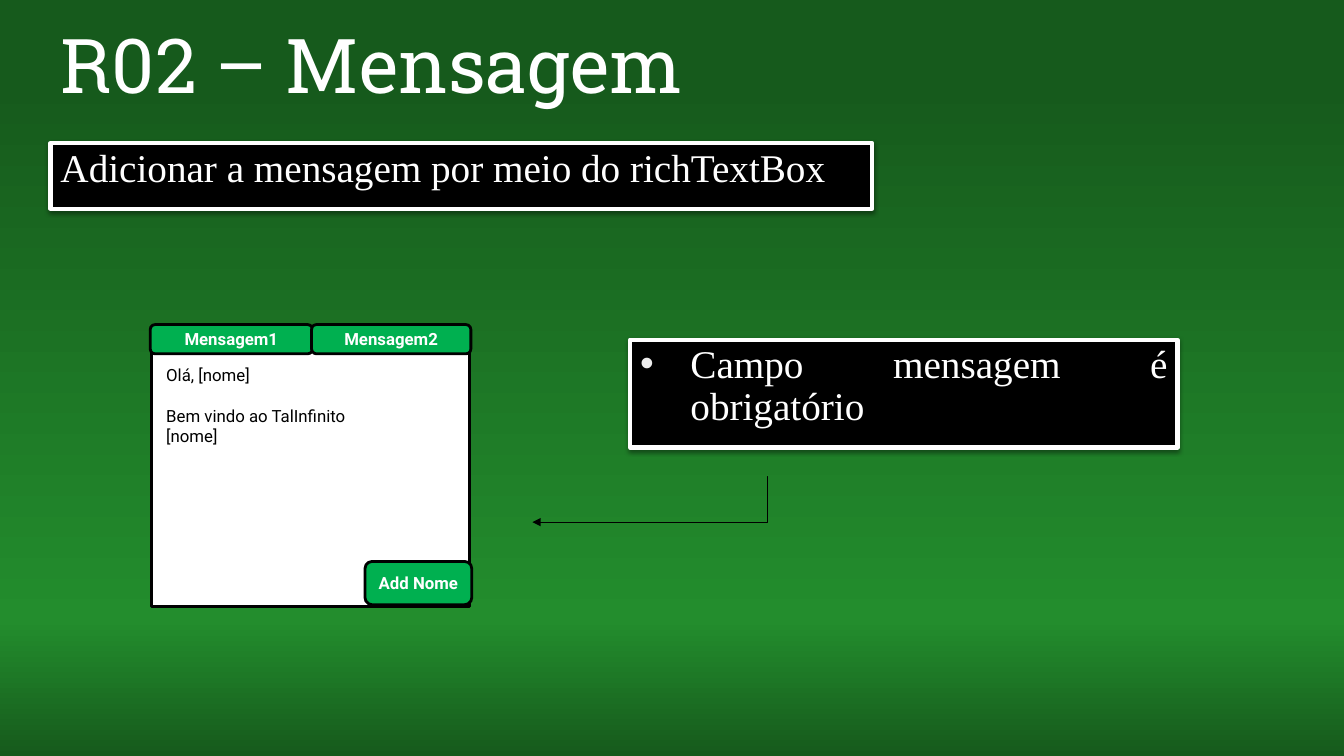
import pptx
import pptx.util
import pptx.dml.color
import pptx.enum.shapes
import pptx.enum.text
import pptx.oxml
import pptx.oxml.ns
from pptx.util import Inches

SHAPE = pptx.enum.shapes.MSO_SHAPE
ALIGN = pptx.enum.text.PP_ALIGN
ANCHOR = pptx.enum.text.MSO_ANCHOR
WHITE, BLACK, GREEN = "FFFFFF", "000000", "00B050"
DARK, LIGHT = "165A1C", "238D2D"


def color(code):
    return pptx.dml.color.RGBColor.from_string(code)


def node(tag, inner="", **attrs):
    """Make one drawing element from its tag, attributes and inner XML."""
    pairs = "".join(f' {key}="{val}"' for key, val in attrs.items())
    return pptx.oxml.parse_xml(
        f'<a:{tag} {pptx.oxml.ns.nsdecls("a")}{pairs}>{inner}</a:{tag}>')


class Deck:
    sans, slab, serif = "Roboto", "Roboto Slab", "Times New Roman"

    def __init__(self):
        self.file = pptx.Presentation()
        self.file.slide_width = Inches(13.33)
        self.file.slide_height = Inches(7.5)
        self.slide = self.file.slides.add_slide(self.file.slide_layouts[1])

    def back(self, stops):
        fill = self.slide.background.fill
        fill.gradient()
        fill.gradient_angle = 270
        items = self.slide.element.xpath(".//p:bg//a:gsLst")[0]
        for item in list(items):
            items.remove(item)
        for spot, code in stops:
            items.append(node("gs", f'<a:srgbClr val="{code}"/>', pos=spot * 1000))

    def place(self, shape, box):
        shape.left, shape.top, shape.width, shape.height = map(Inches, box)

    def paint(self, shape, fill, line, width):
        shape.fill.solid()
        shape.fill.fore_color.rgb = color(fill)
        shape.line.color.rgb = color(line)
        shape.line.width = pptx.util.Pt(width)
        shape.shadow.inherit = False

    def fill_text(self, shape, text, size, font, code=WHITE, bold=False,
                  align=ALIGN.LEFT, anchor=ANCHOR.TOP, space=1.0):
        frame = shape.text_frame
        frame.text = text
        frame.word_wrap = True
        frame.auto_size = pptx.enum.text.MSO_AUTO_SIZE.NONE
        frame.vertical_anchor = anchor
        for para in frame.paragraphs:
            para.alignment = align
            para.line_spacing = space
            para.space_before = pptx.util.Pt(0)
            for run in para.runs:
                run.font.size = pptx.util.Pt(size)
                run.font.name = font
                run.font.bold = bold
                run.font.color.rgb = color(code)
        return frame

    def title(self, box, text):
        shape = self.slide.shapes.title
        self.place(shape, box)
        self.fill_text(shape, text, 54, self.slab, anchor=ANCHOR.MIDDLE, space=0.9)

    def panel(self, shape, text, bullet=False):
        """Black panel with a white frame, a soft shadow and justified text."""
        self.paint(shape, BLACK, WHITE, 3)
        glow = node("outerShdw", f'<a:srgbClr val="{BLACK}"><a:alpha val="38000"/></a:srgbClr>',
                    blurRad=pptx.util.Pt(3.1), dist=pptx.util.Pt(1.6), dir=5400000, rotWithShape=0)
        shape.element.spPr.find(pptx.oxml.ns.qn("a:effectLst")).append(glow)
        frame = self.fill_text(shape, text, 28, self.serif, align=ALIGN.JUSTIFY, space=0.9)
        props = frame.paragraphs[0]._p.get_or_add_pPr()
        hang = Inches(0.5) if bullet else 0
        props.set("marL", str(hang))
        props.set("indent", str(-hang))
        if bullet:
            props.append(node("buClr", '<a:srgbClr val="EDEDED"/>'))
            props.append(node("buFont", typeface="Arial"))
            props.append(node("buChar", char="•"))
        else:
            props.append(node("buNone"))

    def body(self, box, text):
        shape = self.slide.placeholders[1]
        self.place(shape, box)
        self.panel(shape, text)

    def shape(self, kind, box):
        return self.slide.shapes.add_shape(kind, *map(Inches, box))

    def note(self, box, text):
        self.panel(self.shape(SHAPE.RECTANGLE, box), text, bullet=True)

    def window(self, box):
        self.paint(self.shape(SHAPE.RECTANGLE, box), WHITE, BLACK, 2)

    def button(self, box, text):
        shape = self.shape(SHAPE.ROUNDED_RECTANGLE, box)
        self.paint(shape, GREEN, BLACK, 2)
        self.fill_text(shape, text, 12, self.sans, bold=True,
                       align=ALIGN.CENTER, anchor=ANCHOR.MIDDLE)

    def label(self, box, text):
        shape = self.slide.shapes.add_textbox(*map(Inches, box))
        return self.fill_text(shape, text, 12, self.sans, BLACK)

    def arrow(self, *ends):
        link = self.slide.shapes.add_connector(
            pptx.enum.shapes.MSO_CONNECTOR.ELBOW, *map(Inches, ends))
        link.line.color.rgb = color(BLACK)
        link.line.width = pptx.util.Pt(0.75)
        props = link.element.spPr
        props.find(pptx.oxml.ns.qn("a:ln")).append(node("tailEnd", type="triangle"))
        props.append(node("effectLst"))
        # Turn at the start, so the line drops first
        bend = props.find(pptx.oxml.ns.qn("a:prstGeom")).get_or_add_avLst()
        bend.append(node("gd", name="adj1", fmla="val -300"))


def main():
    deck = Deck()
    deck.back([(0, DARK), (11, DARK), (82, LIGHT), (100, DARK)])

    # Heading
    deck.title((0.5, 0.35, 8.15, 0.67), "R02 – Mensagem")
    deck.body((0.5, 1.42, 8.15, 0.65), "Adicionar a mensagem por meio do richTextBox")

    # Rule and its arrow
    deck.note((6.25, 3.37, 5.43, 1.07), "Campo mensagem é obrigatório")
    deck.arrow(7.61, 4.73, 5.28, 5.18)

    # Mock window
    deck.window((1.5, 3.44, 3.16, 2.58))
    frame = deck.label((1.55, 3.57, 2.29, 0.94),
                       "Olá, [nome]\nBem vindo ao TalInfinito\n[nome]")
    frame.paragraphs[1].space_before = pptx.util.Pt(14.5)
    for box, text in [((1.49, 3.22, 1.61, 0.29), "Mensagem1"),
                      ((3.62, 5.57, 1.06, 0.43), "Add Nome"),
                      ((3.09, 3.22, 1.58, 0.29), "Mensagem2")]:
        deck.button(box, text)

    deck.file.save("out.pptx")


if __name__ == "__main__":
    main()
